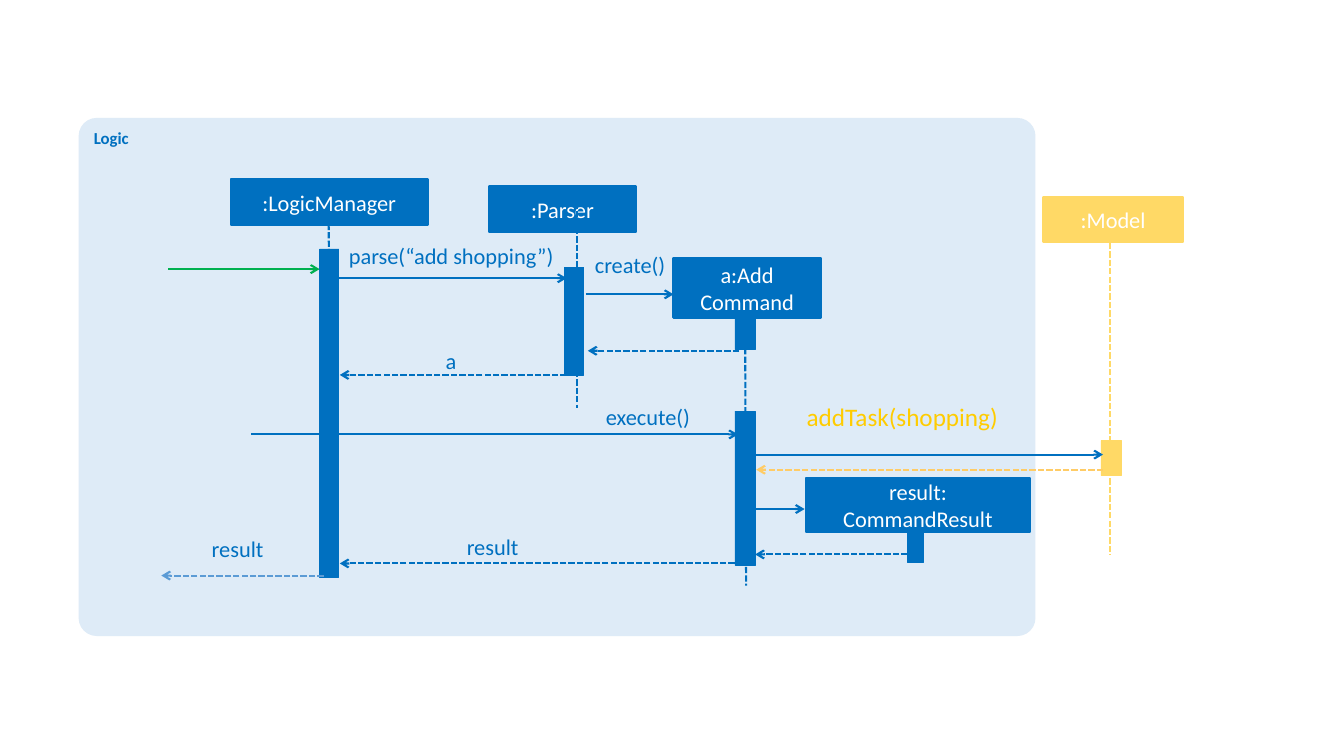
"""Build a sequence diagram of the Logic component adding a task."""
from dataclasses import dataclass

from lxml.etree import SubElement
from pptx import Presentation
from pptx.dml.color import RGBColor
from pptx.enum.dml import MSO_LINE
from pptx.enum.shapes import MSO_CONNECTOR, MSO_SHAPE
from pptx.enum.text import MSO_ANCHOR, MSO_AUTO_SIZE, PP_ALIGN
from pptx.oxml.ns import qn
from pptx.util import Inches, Pt


@dataclass(frozen=True)
class Theme:
    """Colours, font, type sizes and line widths."""
    font: str = "Calibri"
    logic: str = "0070C0"
    panel: str = "DEEBF7"
    model: str = "FFD966"
    model_reply: str = "FFCC66"
    model_call: str = "FFCC00"
    caller: str = "00B050"
    caller_reply: str = "5B9BD5"
    on_dark: str = "FFFFFF"
    small: int = 12
    body: int = 16
    large: int = 18
    stroke: float = 1.5
    thin: float = 0.5


@dataclass(frozen=True)
class Box:
    """An area measured in grid cells of a tenth of an inch."""
    column: float
    row: float
    columns: float
    rows: float

    def inside(self, column, row, columns=0, rows=0):
        """Return a box placed relative to this one."""
        return Box(self.column + column, self.row + row, columns, rows)

    def lengths(self):
        """Return left, top, width and height as slide lengths."""
        return [cells(n) for n in (self.column, self.row, self.columns, self.rows)]


THEME = Theme()
CELL = Inches(0.1)
LOGIC = Box(7.8, 11.7, 94.9, 51.4)

PARTICIPANTS = [
    (":LogicManager", (15.1, 6.1, 19.5, 4.5), (24.8, 10.5, 25, 39.8),
     [(23.9, 13, 1.9, 32.6)], THEME.logic),
    (":Parser", (40.7, 6.8, 14.6, 4.5), (49.4, 8.4, 49.4, 28.8),
     [(48.2, 14.8, 1.9, 10.7)], THEME.logic),
    ("a:Add\vCommand", (59, 13.9, 14.6, 5.9), (66.1, 19.5, 66.2, 46.4),
     [(65.1, 19.5, 2, 3.5), (65.1, 29.1, 2, 15.3)], THEME.logic),
    (":Model", (95.7, 7.8, 13.8, 4.5), (102.3, 12.4, 102.3, 43.3),
     [(101.4, 32, 2, 3.5)], THEME.model),
    ("result:\vCommandResult", (72.1, 35.7, 22.3, 5.4), None,
     [(82.2, 41.1, 1.6, 3)], THEME.logic),
]
CALLS = [
    (8.9, 23.9, 15, THEME.caller),
    (25.7, 48.4, 15.9, THEME.logic),
    (50.3, 59, 17.5, THEME.logic),
    (17.1, 65.4, 31.4, THEME.logic),
    (66.6, 101.6, 33.4, THEME.logic),
    (66, 72, 38.8, THEME.logic),
]
REPLIES = [
    (65.5, 50.5, 23.1, THEME.logic),
    (48.4, 25.9, 25.5, THEME.logic),
    (101.6, 67.2, 34.9, THEME.model_reply),
    (82.2, 67.1, 43.3, THEME.logic),
    (65.9, 25.9, 44.2, THEME.logic),
    (24.3, 8.2, 45.4, THEME.caller_reply),
]
LABELS = [
    ("parse(“add shopping”)", (26.8, 12.3, 20.5, 2.7), {}),
    ("create()", (51.2, 13.2, 8.6, 2.7), {}),
    ("a", (36.4, 22.7, 2.9, 2.7), {}),
    ("execute()", (52.3, 28.3, 11.5, 2.7), {}),
    ("addTask(shopping)", (72.2, 28.1, 19.1, 3),
     {"size": THEME.large, "color": THEME.model_call}),
    ("result", (38.5, 41.2, 8.3, 2.7), {}),
    ("result", (13.2, 41.4, 10.2, 2.7), {}),
]


def cells(count):
    """Convert grid cells to a slide length."""
    return round(count * CELL)


def write(frame, text, *, size=THEME.body, color=THEME.logic, bold=False,
          align=PP_ALIGN.LEFT, anchor=MSO_ANCHOR.TOP):
    """Put formatted text into a text frame."""
    frame.word_wrap = True
    frame.vertical_anchor = anchor
    paragraph = frame.paragraphs[0]
    paragraph.text = text
    paragraph.alignment = align
    for run in paragraph.runs:
        run.font.name = THEME.font
        run.font.size = Pt(size)
        run.font.bold = bold
        run.font.color.rgb = RGBColor.from_string(color)


def draw_block(slide, box, color, preset=MSO_SHAPE.RECTANGLE, stroke=None):
    """Draw a filled preset shape, outlined when a stroke is given."""
    block = slide.shapes.add_shape(preset, *box.lengths())
    block.shadow.inherit = False
    block.fill.solid()
    block.fill.fore_color.rgb = RGBColor.from_string(color)
    if stroke:
        block.line.color.rgb = RGBColor.from_string(color)
        block.line.width = Pt(stroke)
    else:
        block.line.fill.background()
    return block


def draw_line(slide, start, end, color, dashed=False, arrow=False):
    """Draw a straight line between two grid points."""
    ends = [cells(n) for n in (start.column, start.row, end.column, end.row)]
    connector = slide.shapes.add_connector(MSO_CONNECTOR.STRAIGHT, *ends)
    connector.line.color.rgb = RGBColor.from_string(color)
    connector.line.width = Pt(THEME.stroke)
    if dashed:
        connector.line.dash_style = MSO_LINE.SQUARE_DOT
    properties = connector.element.spPr
    if arrow:
        SubElement(properties.find(qn("a:ln")), qn("a:tailEnd"), type="arrow")
    SubElement(properties, qn("a:effectLst"))


def draw_panel(slide, box):
    """Draw the component's rounded background and its title."""
    panel = draw_block(slide, box, THEME.panel, MSO_SHAPE.ROUNDED_RECTANGLE)
    panel.adjustments[0] = 0.035
    write(panel.text_frame, "Logic", size=THEME.small, bold=True)


def draw_participants(slide, box):
    """Draw each participant's header, lifeline and activation bars."""
    for name, header, lifeline, activations, color in PARTICIPANTS:
        head = draw_block(slide, box.inside(*header), color, stroke=THEME.stroke)
        write(head.text_frame, name, color=THEME.on_dark,
              align=PP_ALIGN.CENTER, anchor=MSO_ANCHOR.MIDDLE)
        if lifeline:
            draw_line(slide, box.inside(*lifeline[:2]),
                      box.inside(*lifeline[2:]), color, dashed=True)
        for activation in activations:
            draw_block(slide, box.inside(*activation), color, stroke=THEME.thin)


def draw_messages(slide, box):
    """Draw calls as solid arrows and replies as dashed ones, with labels."""
    for messages, dashed in ((CALLS, False), (REPLIES, True)):
        for sender, receiver, row, color in messages:
            draw_line(slide, box.inside(sender, row), box.inside(receiver, row),
                      color, dashed=dashed, arrow=True)
    for text, area, style in LABELS:
        frame = slide.shapes.add_textbox(*box.inside(*area).lengths()).text_frame
        frame.margin_left = frame.margin_right = 0
        frame.margin_top = frame.margin_bottom = 0
        write(frame, text, **style)
        frame.auto_size = MSO_AUTO_SIZE.SHAPE_TO_FIT_TEXT


def build():
    """Build and save the one-slide deck."""
    deck = Presentation()
    deck.slide_width, deck.slide_height = Inches(13.33), Inches(7.5)
    slide = deck.slides.add_slide(deck.slide_layouts[6])
    for draw in (draw_panel, draw_participants, draw_messages):
        draw(slide, LOGIC)
    deck.save("out.pptx")


build()
